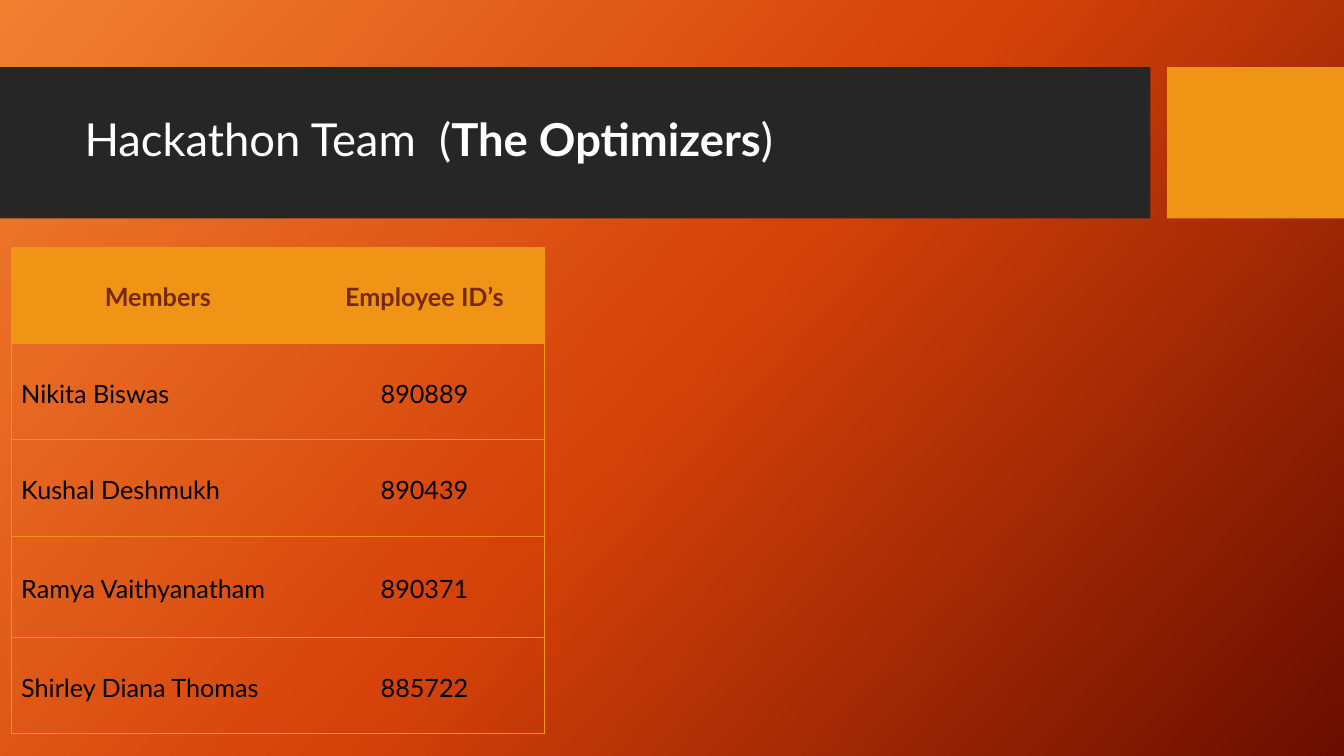
import copy
import pptx
import pptx.dml.color
import pptx.enum.shapes
import pptx.enum.text
import pptx.oxml
import pptx.oxml.ns
import pptx.util
from dataclasses import dataclass


@dataclass(frozen=True)
class Theme:
    font: str = "Lato"
    title_size: float = 32.4
    table_size: float = 18
    border_width: float = 0.75
    bar: str = "262626"
    accent: str = "F09415"
    title: str = "FFFFFF"
    header: str = "76290B"
    body: str = "000000"
    backdrop: tuple = ((0, "F18031"), (0.5, "D54209"), (1, "6A0D00"))
    backdrop_angle: float = 42


def rgb(code):
    return pptx.dml.color.RGBColor.from_string(code)


class TeamSlide:
    """Draws on one slide; lengths are percentages of its width and height."""

    def __init__(self, deck, theme):
        self.deck, self.theme = deck, theme
        self.slide = deck.slides.add_slide(deck.slide_layouts[6])

    def across(self, share):
        return round(self.deck.slide_width * share / 100)

    def down(self, share):
        return round(self.deck.slide_height * share / 100)

    def place(self, left, top, width, height):
        return self.across(left), self.down(top), self.across(width), self.down(height)

    def backdrop(self):
        fill = self.slide.background.fill
        fill.gradient()
        fill.gradient_angle = 360 - self.theme.backdrop_angle
        stops = self.slide.element.find(".//" + pptx.oxml.ns.qn("a:gsLst"))
        stops.append(copy.deepcopy(stops[0]))
        for stop, (position, color) in zip(fill.gradient_stops, self.theme.backdrop):
            stop.position = position
            stop.color.rgb = rgb(color)

    def block(self, area, color):
        block = self.slide.shapes.add_shape(
            pptx.enum.shapes.MSO_SHAPE.RECTANGLE, *self.place(*area))
        block.shadow.inherit = False
        block.fill.solid()
        block.fill.fore_color.rgb = rgb(color)
        block.line.fill.background()

    def add_text(self, paragraph, text, size, color, bold=False):
        run = paragraph.add_run()
        run.text = text
        style = {"name": self.theme.font, "size": pptx.util.Pt(size), "bold": bold}
        for attribute, value in style.items():
            setattr(run.font, attribute, value)
        run.font.color.rgb = rgb(color)

    def title(self, area, pieces):
        frame = self.slide.shapes.add_textbox(*self.place(*area)).text_frame
        frame.word_wrap = True
        frame.vertical_anchor = pptx.enum.text.MSO_ANCHOR.MIDDLE
        for text, bold in pieces:
            self.add_text(frame.paragraphs[0], text, self.theme.title_size,
                          self.theme.title, bold)

    def borders(self, cell, visible):
        properties = cell._tc.get_or_add_tcPr()
        width = pptx.util.Pt(self.theme.border_width)
        namespace = pptx.oxml.ns.nsdecls("a")
        for side in "LRTB":
            paint = "<a:noFill/>"
            if side in visible:
                paint = (f'<a:solidFill><a:srgbClr val="{self.theme.accent}"/>'
                         "</a:solidFill>")
            properties.append(pptx.oxml.parse_xml(
                f'<a:ln{side} {namespace} w="{width}">{paint}</a:ln{side}>'))

    def table(self, left, top, columns, heights, records):
        area = self.place(left, top, sum(columns), sum(heights))
        table = self.slide.shapes.add_table(len(heights), len(columns), *area).table
        table.first_row = table.horz_banding = False
        for column, share in zip(table.columns, columns):
            column.width = self.across(share)
        for row, share in zip(table.rows, heights):
            row.height = self.down(share)
        for r, record in enumerate(records):
            for c, text in enumerate(record):
                self.table_cell(table.cell(r, c), text, r == 0, c == 0)

    def table_cell(self, cell, text, is_header, is_first):
        align = pptx.enum.text.PP_ALIGN
        # Only the outer frame and the row rules show
        self.borders(cell, "TBL" if is_first else "TBR")
        if is_header:
            cell.fill.solid()
            cell.fill.fore_color.rgb = rgb(self.theme.accent)
        else:
            cell.fill.background()
        layout = {"vertical_anchor": pptx.enum.text.MSO_ANCHOR.MIDDLE,
                  "margin_top": pptx.util.Inches(0.09),
                  "margin_bottom": pptx.util.Inches(0.05)}
        for attribute, value in layout.items():
            setattr(cell, attribute, value)
        paragraph = cell.text_frame.paragraphs[0]
        named = is_first and not is_header
        paragraph.alignment = align.LEFT if named else align.CENTER
        self.add_text(paragraph, text, self.theme.table_size,
                      self.theme.header if is_header else self.theme.body, is_header)


def main():
    deck = pptx.Presentation()
    deck.slide_width = pptx.util.Inches(13.33)
    deck.slide_height = pptx.util.Inches(7.5)
    theme = Theme()
    team = TeamSlide(deck, theme)

    # Backdrop and title band
    team.backdrop()
    team.block((0, 8.9, 85.6, 20), theme.bar)
    team.block((86.85, 8.9, 13.15, 20), theme.accent)
    team.title((5.55, 10.4, 78.85, 15.73),
               [("Hackathon Team  (", False), ("The Optimizers", True), (")", False)])

    # Members and their numbers
    members = [
        ("Members", "Employee ID’s"),
        ("Nikita Biswas", "890889"),
        ("Kushal Deshmukh", "890439"),
        ("Ramya Vaithyanatham", "890371"),
        ("Shirley Diana Thomas", "885722"),
    ]
    team.table(0.83, 32.67, (21.83, 17.85), (12.75, 12.75, 12.75, 13.36, 12.75), members)

    deck.save("out.pptx")


if __name__ == "__main__":
    main()
